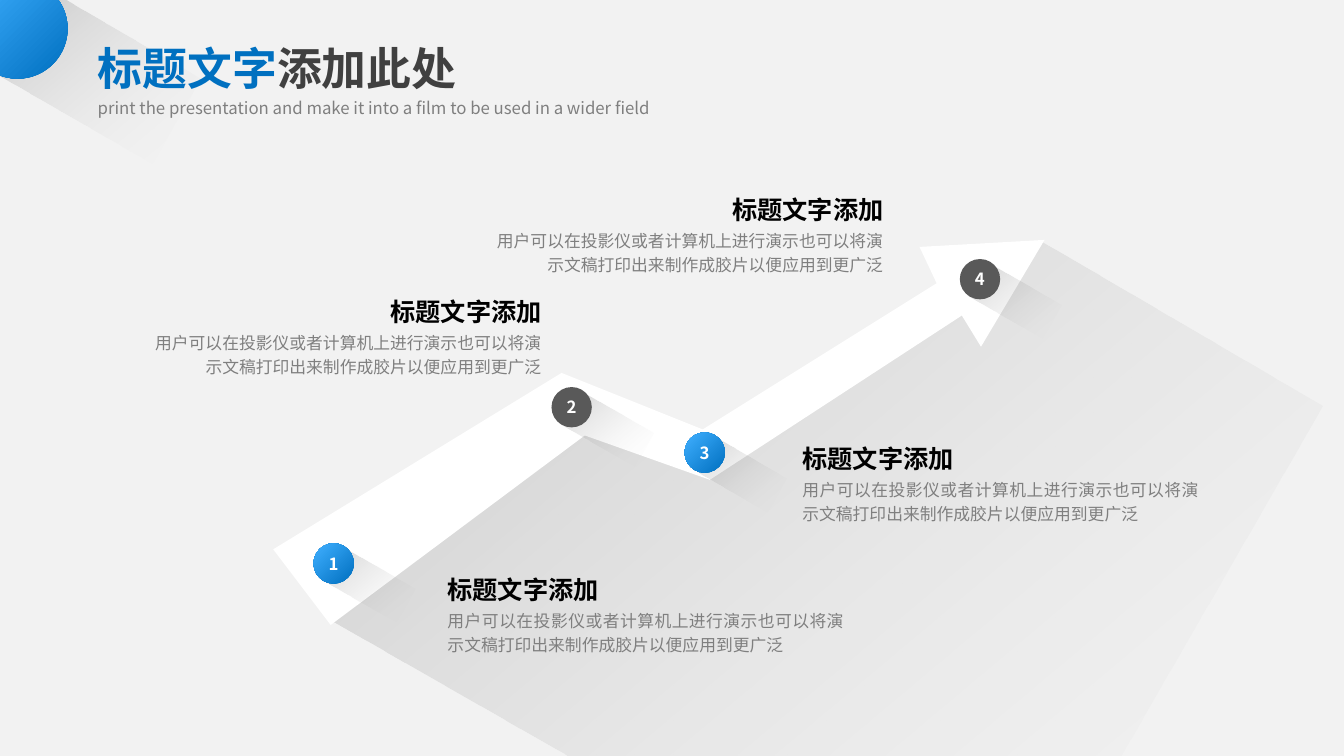
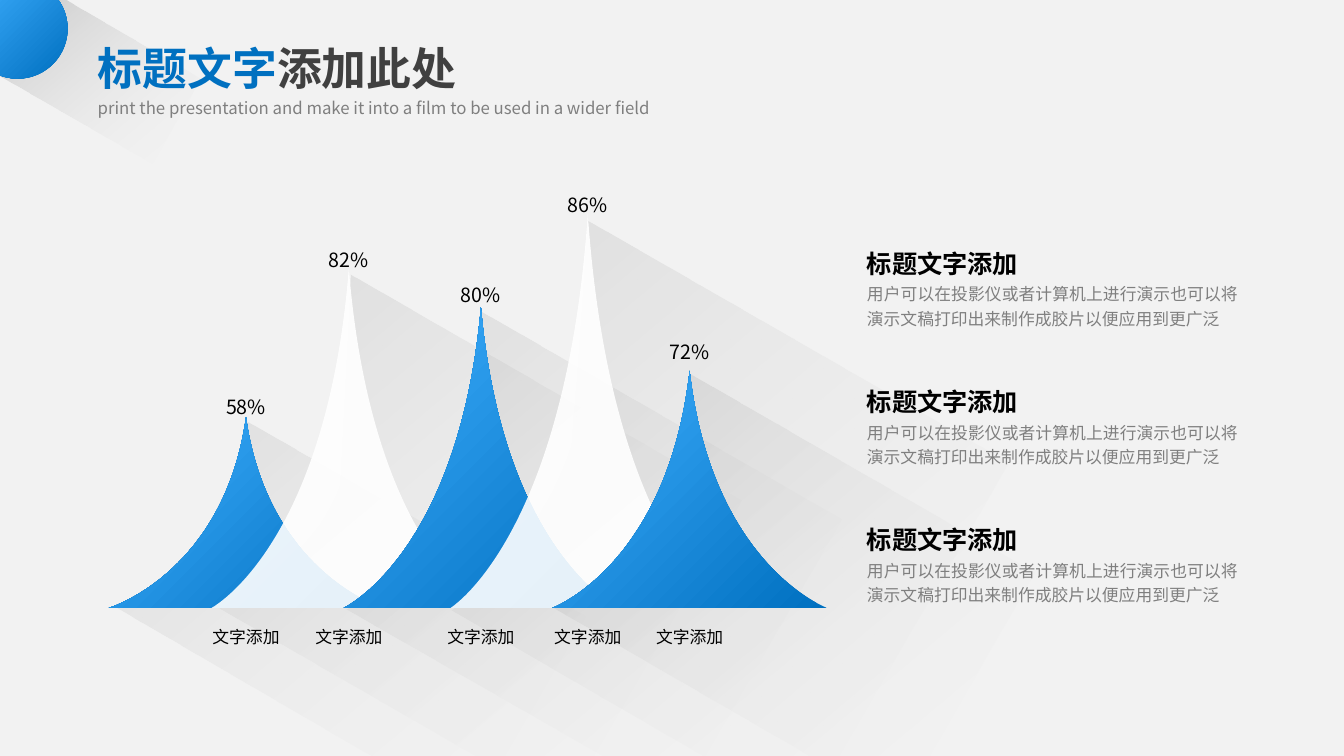
from math import cos, radians, sin

from lxml.etree import SubElement
from pptx import Presentation
from pptx.dml.color import RGBColor
from pptx.enum.shapes import MSO_SHAPE as Shape
from pptx.enum.text import MSO_ANCHOR as Anchor, MSO_AUTO_SIZE as Auto, PP_ALIGN as Align
from pptx.oxml.ns import qn
from pptx.util import Inches, Pt

FONT = "Noto Sans CJK SC"
BLUE = RGBColor(0x00, 0x70, 0xC0)
SKY = RGBColor(0x40, 0xAF, 0xFF)
BLACK = RGBColor(0x00, 0x00, 0x00)
DARK = RGBColor(0x40, 0x40, 0x40)
SLATE = RGBColor(0x59, 0x59, 0x59)
GRAY = RGBColor(0x7F, 0x7F, 0x7F)
PALE = RGBColor(0xF2, 0xF2, 0xF2)
WHITE = RGBColor(0xFF, 0xFF, 0xFF)

# A fill is an angle (None when solid) and a list of (colour, opacity in percent)
GLOW = (225, [(BLUE, 100), (SKY, 100)])
SHADE = (20, [(BLACK, 20), (PALE, 0)])
FAINT = (20, [(BLACK, 10), (PALE, 0)])
SOLID = (None, [(WHITE, 100)])
VEIL = (None, [(WHITE, 90)])
STONE = (None, [(SLATE, 100)])
TILT = 30

HEAD = "标题文字添加"
BODY = "用户可以在投影仪或者计算机上进行演示也可以将演示文稿打印出来制作成胶片以便应用到更广泛"


class Deck:
    def __init__(self):
        self.prs = Presentation()
        self.prs.slide_width = Inches(13.33)
        self.prs.slide_height = Inches(7.5)
        back = self.prs.slide_master.background.fill
        back.solid()
        back.fore_color.rgb = PALE

    def page(self):
        """Start a slide with the corner disc, title and subtitle."""
        self.slide = self.prs.slides.add_slide(self.prs.slide_layouts[6])
        self.free([(-0.07, 0.71), (0.45, -0.12), (1.99, 0.78), (1.51, 1.62)], SHADE, TILT)
        self.disc(-0.32, -0.21, 0.99, GLOW)
        title = self.text(0.87, 0.36, 3.79, 0.64, "标题文字", 32, BLUE, bold=True, wrap=False)
        rest = title.add_run()
        rest.text = "添加此处"
        rest.font.color.rgb = DARK
        self.text(0.87, 0.87, 6.29, 0.33,
                  "print the presentation and make it into a film to be used in a wider field",
                  12, GRAY, gap=1.25)

    def paint(self, shape, fill):
        shape.shadow.inherit = False
        shape.line.fill.background()
        angle, stops = fill
        if angle is None:
            shape.fill.solid()
            shape.fill.fore_color.rgb = stops[0][0]
        else:
            shape.fill.gradient()
            shape.fill.gradient_angle = 360 - angle
            for stop, (color, _) in zip(shape.fill.gradient_stops, stops):
                stop.color.rgb = color
        marks = shape._element.spPr.iter(qn("a:srgbClr"))
        for mark, (_, alpha) in zip(list(marks), stops):
            if alpha < 100:
                SubElement(mark, qn("a:alpha")).set("val", str(alpha * 1000))

    def free(self, segs, fill, turn=0):
        """Draw a closed outline; a pair is a corner, six numbers are a Bezier curve.

        The outline is given as seen on the slide; turn also rotates its fill.
        """
        spin = complex(cos(radians(turn)), sin(radians(turn)))
        pts = [complex(*seg[i:i + 2]) / spin for seg in segs for i in range(0, len(seg), 2)]
        xs, ys = [p.real for p in pts], [p.imag for p in pts]
        mid = complex(min(xs) + max(xs), min(ys) + max(ys)) / 2
        pts = [p + mid * spin - mid for p in pts]
        start, *rest = [(Inches(p.real), Inches(p.imag)) for p in pts]
        pen = self.slide.shapes.build_freeform(*start)
        pen.add_line_segments(rest, close=True)
        shape = pen.convert_to_shape()
        shape.rotation = turn
        self.paint(shape, fill)
        steps = iter(shape._element.findall(".//" + qn("a:lnTo")))
        for seg in segs[1:]:
            first, *more = [next(steps) for _ in range(len(seg) // 2)]
            if more:
                first.tag = qn("a:cubicBezTo")
            for step in more:
                first.append(step[0])
                step.getparent().remove(step)

    def disc(self, x, y, size, fill):
        shape = self.slide.shapes.add_shape(
            Shape.OVAL, Inches(x), Inches(y), Inches(size), Inches(size))
        self.paint(shape, fill)
        return shape

    def words(self, para, text, size, color, bold=False, align=None, gap=None):
        """Fill and style a paragraph."""
        para.add_run().text = text
        para.alignment = align
        para.line_spacing = gap
        font = para.font
        font.size, font.bold, font.name = Pt(size), bold, FONT
        font.color.rgb = color
        SubElement(font._element, qn("a:ea")).set("typeface", FONT)

    def text(self, x, y, w, h, text, size, color, wrap=True, **style):
        box = self.slide.shapes.add_textbox(Inches(x), Inches(y), Inches(w), Inches(h))
        frame = box.text_frame
        frame.word_wrap = wrap
        frame.auto_size = Auto.SHAPE_TO_FIT_TEXT
        para = frame.paragraphs[0]
        self.words(para, text, size, color, **style)
        return para

    def entry(self, x, y, w, align=Align.JUSTIFY):
        """Heading over body text."""
        short = 2.45
        left = x + w - short if align == Align.RIGHT else x
        self.text(x, y + 0.38, w, 0.59, BODY, 12, GRAY, align=align, gap=1.2)
        self.text(left, y, short, 0.43, HEAD, 18, BLACK, bold=True, align=align, gap=1.2)

    def label(self, mid, y, w, h, text, size):
        self.text(mid - w / 2, y, w, h, text, size, BLACK, align=Align.CENTER, gap=1.2)

    def badge(self, x, y, text, fill):
        """Numbered disc with its long shadow."""
        cast = [(0.08, 0.36), (0.3, 0.04), (1.01, 0.45), (0.82, 0.79)]
        self.free([(x + dx, y + dy) for dx, dy in cast], SHADE, TILT)
        frame = self.disc(x, y, 0.4, fill).text_frame
        frame.word_wrap = False
        frame.vertical_anchor = Anchor.MIDDLE
        self.words(frame.paragraphs[0], text, 12, WHITE, bold=True, align=Align.CENTER)

    def peak(self, mid, top, fill):
        half, base = 1.36, 6.03
        bend = top + 0.82 * (base - top)
        left, right = mid - half, mid + half
        self.free([(right, base),
                   (right, base, mid + 0.22, bend, mid, top),
                   (mid - 0.22, bend, left, base, left, base)], fill)


def arrow(deck):
    deck.page()
    deck.free([(3.27, 6.15), (4.01, 5.76, 4.41, 4.99, 5.15, 4.6),
               (5.9, 4.28, 5.49, 3.96, 7.11, 4.35),
               (10.33, 2.4), (13.12, 4.03), (9.76, 9.86)], SHADE, TILT)
    deck.free([(2.71, 5.45), (5.57, 3.7), (6.97, 4.26), (9.29, 2.81), (9.12, 2.45),
               (10.36, 2.38), (9.73, 3.44), (9.54, 3.13), (7.04, 4.76), (5.8, 4.32),
               (3.28, 6.2)], SOLID)
    for x, y, align in [(7.86, 4.29, Align.JUSTIFY), (4.34, 5.59, Align.JUSTIFY),
                        (1.34, 2.83, Align.RIGHT), (4.73, 1.82, Align.RIGHT)]:
        deck.entry(x, y, 4.13, align)
    spots = [(3.11, 5.39, GLOW), (5.47, 3.84, STONE), (6.79, 4.29, GLOW), (9.52, 2.57, STONE)]
    for num, (x, y, fill) in enumerate(spots, 1):
        deck.badge(x, y, str(num), fill)


def peaks(deck):
    deck.page()
    casts = [
        [(6.84, 3.71), (10.26, 5.68), (8.92, 8.01), (5.49, 6.03),
         (6.29, 5.78, 6.56, 5.66, 6.79, 5.27), (6.81, 4.75, 6.86, 4.38, 6.84, 3.71)],
        [(3.44, 6.04), (4.11, 5.68, 4.39, 5.51, 4.63, 5), (4.78, 3.09), (8.35, 5.15), (6.74, 7.93)],
        [(2.16, 6.02), (2.74, 5.65, 3.14, 5.4, 3.37, 4.81), (3.48, 2.72), (7.35, 4.96), (5.59, 8)],
        [(1.15, 6.02), (1.77, 5.83, 2.03, 5.82, 2.27, 5.49), (2.46, 4.18), (5.81, 6.11),
         (4.67, 8.07)],
        [(4.48, 6.05), (5.08, 5.56, 5.42, 5.11, 5.67, 4.42), (5.83, 2.19), (10, 4.59),
         (7.98, 8.08)],
    ]
    for cast in casts:
        deck.free(cast, FAINT, TILT)
    data = [("58%", 2.44, 4.14, 3.82, GLOW), ("82%", 3.46, 2.66, 2.36, VEIL),
            ("80%", 4.77, 3.05, 2.71, GLOW), ("86%", 5.83, 2.12, 1.82, VEIL),
            ("72%", 6.84, 3.68, 3.28, GLOW)]
    for _, mid, top, _, fill in data:
        deck.peak(mid, top, fill)
    for value, mid, _, y, _ in data:
        deck.label(mid, y, 0.78, 0.36, value, 14)
        deck.label(mid, 6.13, 1.58, 0.32, "文字添加", 12)
    for row in range(3):
        deck.entry(8.5, 2.35 + 1.37 * row, 3.88)


def main():
    deck = Deck()
    arrow(deck)
    peaks(deck)
    deck.prs.save("out.pptx")


if __name__ == "__main__":
    main()
